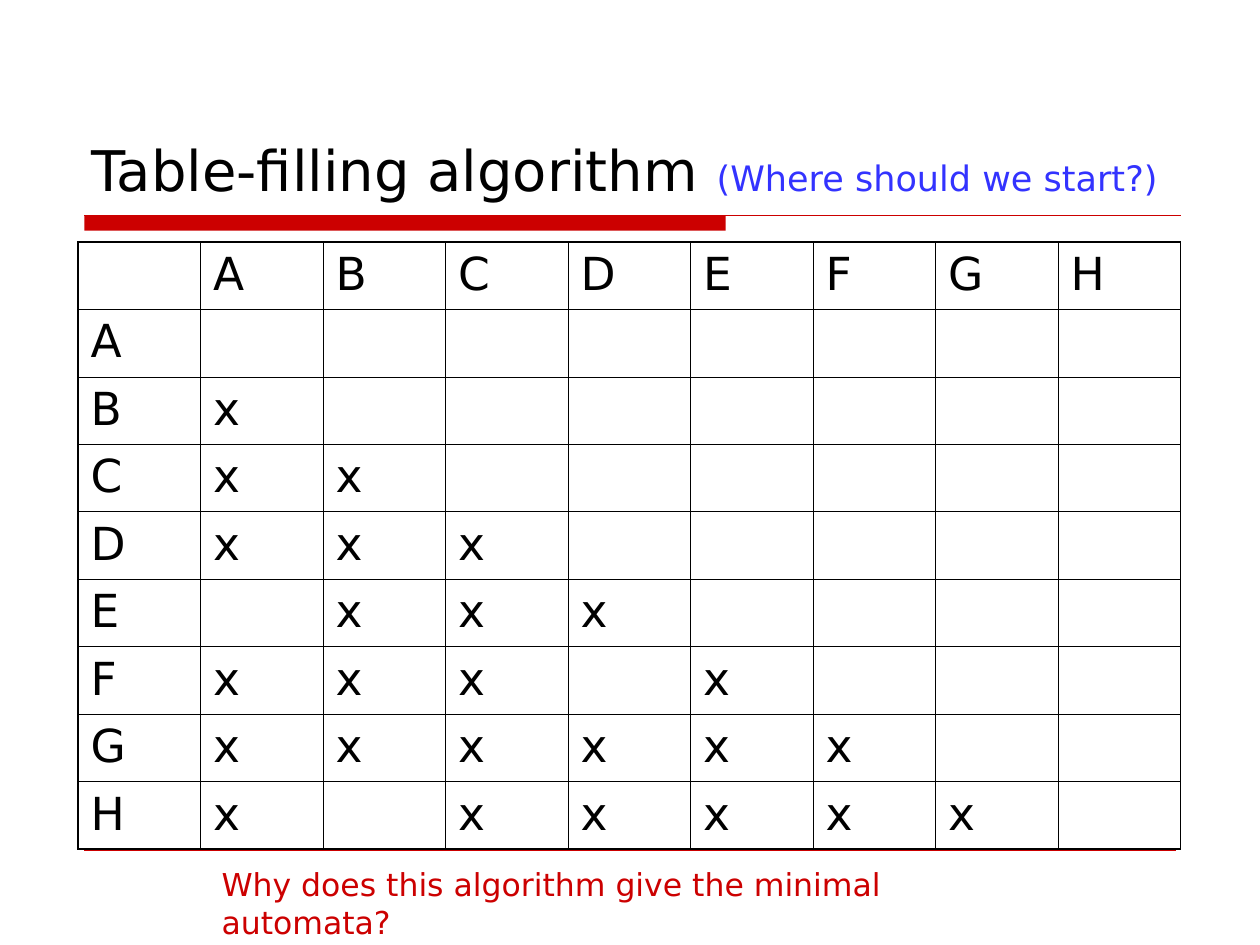
from lxml.etree import SubElement
from pptx import Presentation
from pptx.dml.color import RGBColor
from pptx.enum.shapes import MSO_CONNECTOR, MSO_SHAPE
from pptx.enum.text import MSO_ANCHOR, MSO_AUTO_SIZE, PP_ALIGN
from pptx.oxml.ns import qn
from pptx.util import Inches, Pt

BLACK = RGBColor(0x00, 0x00, 0x00)
BLUE = RGBColor(0x33, 0x33, 0xFF)
RED = RGBColor(0xCC, 0x00, 0x00)
FONT = "DejaVu Sans"
STATES = "ABCDEFGH"
DISTINGUISHED = ["", "A", "AB", "ABC", "BCD", "ABCE", "ABCDEF", "ACDEFG"]
OUTER, INNER = Pt(1.08), Pt(0.45)


def add_run(paragraph, text, size, color):
    run = paragraph.add_run()
    run.text = text
    run.font.name = FONT
    run.font.size = Pt(size)
    run.font.color.rgb = color


def add_border(cell, side, width):
    border = SubElement(cell._tc.get_or_add_tcPr(), qn(f"a:{side}"), w=str(width))
    fill = SubElement(border, qn("a:solidFill"))
    SubElement(fill, qn("a:srgbClr"), val=str(BLACK))


prs = Presentation()
prs.slide_width, prs.slide_height = Inches(10), Inches(7.5)
slide = prs.slides.add_slide(prs.slide_layouts[5])
shapes = slide.shapes

bar = shapes.add_shape(MSO_SHAPE.RECTANGLE, Inches(0.67), Inches(1.71), Inches(5.09), Inches(0.12))
bar.shadow.inherit = False
bar.fill.solid()
bar.fill.fore_color.rgb = RED
bar.line.fill.background()

for right, height, weight in [(9.37, 1.71, 0.75), (9.33, 6.75, 0.25)]:
    rule = shapes.add_connector(
        MSO_CONNECTOR.STRAIGHT, Inches(0.67), Inches(height), Inches(right), Inches(height)
    )
    rule.line.color.rgb = RED
    rule.line.width = Pt(weight)
    SubElement(rule._element.spPr, qn("a:effectLst"))

title = shapes.title
title.left, title.top = Inches(0.63), Inches(0.33)
title.width, title.height = Inches(8.75), Inches(1.33)
title.text_frame.auto_size = MSO_AUTO_SIZE.NONE
title.text_frame.vertical_anchor = MSO_ANCHOR.BOTTOM
heading = title.text_frame.paragraphs[0]
heading.alignment = PP_ALIGN.LEFT
add_run(heading, "Table-filling algorithm ", 32, BLACK)
add_run(heading, "(Where should we start?)", 20, BLUE)

rows = [["", *STATES]]
for state, others in zip(STATES, DISTINGUISHED):
    rows.append([state] + ["x" if other in others else "" for other in STATES])
last = len(STATES)

pairs = shapes.add_table(
    last + 1, last + 1, Inches(0.62), Inches(1.92), Inches(8.75), Inches(4.82)
).table
pairs.first_row = pairs.horz_banding = False
for r, row in enumerate(rows):
    for c, text in enumerate(row):
        cell = pairs.cell(r, c)
        add_border(cell, "lnL", OUTER if c == 0 else INNER)
        add_border(cell, "lnR", OUTER if c == last else INNER)
        add_border(cell, "lnT", OUTER if r == 0 else INNER)
        add_border(cell, "lnB", OUTER if r == last else INNER)
        cell.fill.background()
        if text:
            add_run(cell.text_frame.paragraphs[0], text, 26, BLACK)

question = shapes.add_textbox(Inches(1.66), Inches(6.82), Inches(6.32), Inches(0.4))
question.text_frame.word_wrap = True
add_run(
    question.text_frame.paragraphs[0],
    "Why does this algorithm give the minimal automata?", 18, RED,
)

prs.save("out.pptx")
